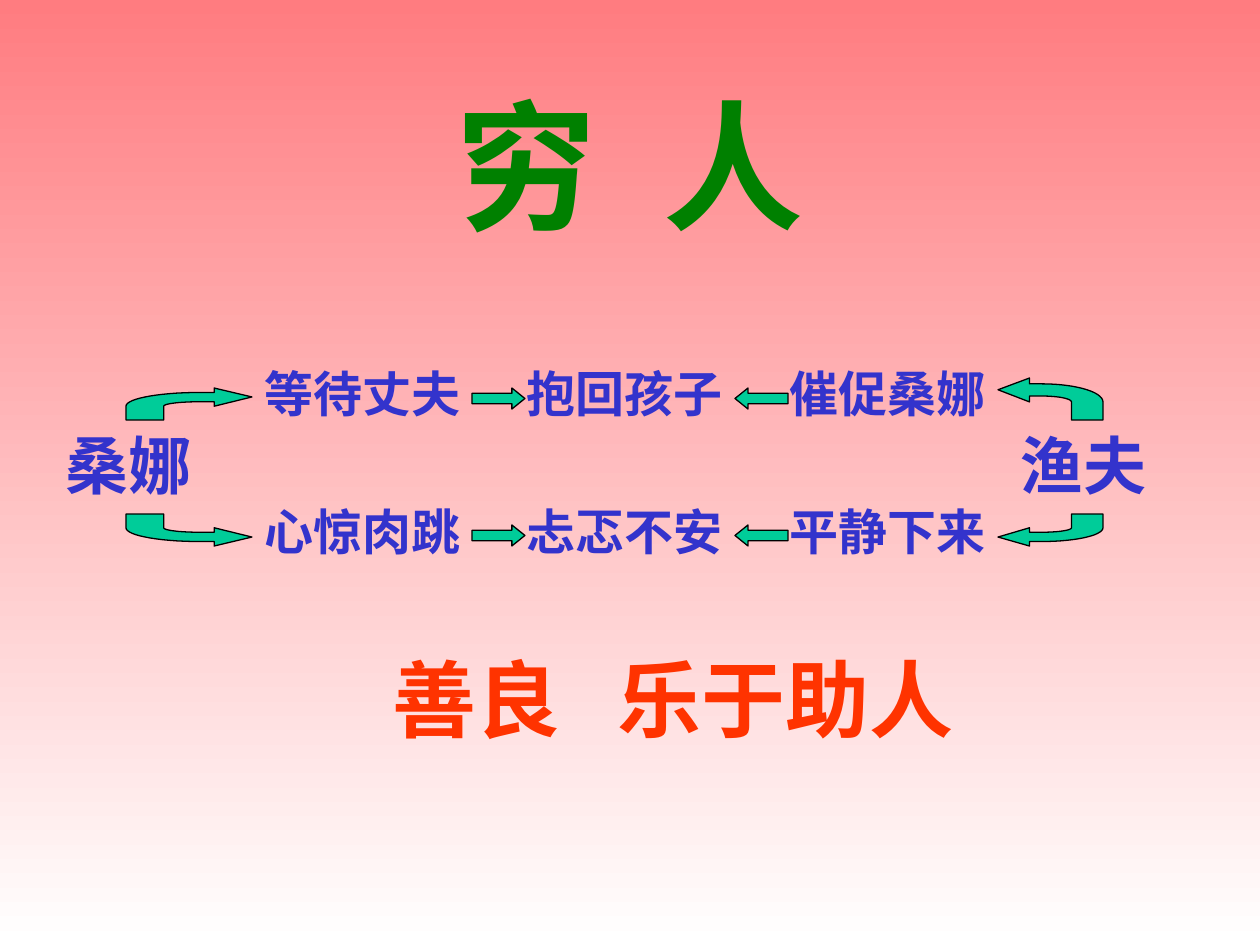
import math
from pptx import Presentation, util as u
from pptx.dml.color import RGBColor
from pptx.enum import shapes, text

W, H = 1260, 945
BLUE, GREEN, RED, TEAL = "3333CC", "008000", "FF3300", "00CC99"
SERIF, SANS = "Times New Roman", "Noto Sans CJK JP"


def px(n):
    return u.Emu(round(n * 914400 / 126))


def rgb(code):
    return RGBColor.from_string(code)


deck = Presentation()
deck.slide_width, deck.slide_height = px(W), px(H)
slide = deck.slides.add_slide(deck.slide_layouts[5])

# Background fades from pink at the top to white
back = slide.background.fill
back.gradient()
back.gradient_angle = 270
for stop, code in zip(back.gradient_stops, ("FF7C80", "FFFFFF")):
    stop.color.rgb = rgb(code)

# Words: box, runs with extra letter spacing in points, size, font, colour, alignment
LEFT, MID = text.PP_ALIGN.LEFT, text.PP_ALIGN.CENTER
words = [
    ((410, 73, 441, 181), [("穷", 0), (" ", 20), ("人", 0)], 80, SERIF, GREEN, MID),
    ((53, 420, 158, 88), [("桑娜", 0)], 36, SERIF, BLUE, LEFT),
    ((1008, 420, 158, 88), [("渔夫", 0)], 36, SERIF, BLUE, LEFT),
    ((302, 641, 742, 113), [("善良", 0), (" ", 21.5), ("乐于助人", 0)], 48, SANS, RED, MID),
]
steps = [("等待丈夫", "抱回孩子", "催促桑娜"), ("心惊肉跳", "忐忑不安", "平静下来")]
for top, row in zip((357, 495), steps):
    for left, word in zip((252, 514, 777), row):
        words.append(((left, top, 242, 72), [(word, 0)], 28, SERIF, BLUE, LEFT))

for i, (place, runs, size, face, code, align) in enumerate(words):
    if i == 0:
        box = slide.shapes.title
        box.left, box.top, box.width, box.height = map(px, place)
    else:
        box = slide.shapes.add_textbox(*map(px, place))
    frame = box.text_frame
    frame.word_wrap = True
    frame.auto_size = text.MSO_AUTO_SIZE.NONE
    frame.vertical_anchor = text.MSO_ANCHOR.MIDDLE
    para = frame.paragraphs[0]
    para.alignment = align
    for word, gap in runs:
        run = para.add_run()
        run.text = word
        font = run.font
        font.size, font.name, font.bold = u.Pt(size), face, True
        font.color.rgb = rgb(code)
        if gap:
            run._r.get_or_add_rPr().set("spc", str(round(gap * 100)))

arrows = []

# Straight arrows point at the middle column from both sides
for top in (388, 525):
    for left, kind in ((472, shapes.MSO_SHAPE.RIGHT_ARROW),
                       (735, shapes.MSO_SHAPE.LEFT_ARROW)):
        arrow = slide.shapes.add_shape(kind, px(left), px(top), px(53), px(21))
        arrow.adjustments[0], arrow.adjustments[1] = 0.5, 0.62
        arrows.append(arrow)

# Bent arrow in a unit square: the leg rises at the left, the tip is at the right
turn = [math.radians(a) for a in range(0, 91, 6)]
outer = [(0.58 - 0.58 * math.sin(a), 0.57 - 0.43 * math.cos(a)) for a in turn]
inner = [(0.58 - 0.28 * math.cos(a), 0.57 - 0.14 * math.sin(a)) for a in turn]
bend = [(1, 0.28), (0.7, 0), (0.7, 0.14), *outer, (0, 1), (0.3, 1),
        *inner, (0.7, 0.43), (0.7, 0.57)]

# Left, top, width, height, mirrored across, mirrored down
for left, top, wide, high, across, down in (
        (126, 388, 126, 32, False, False), (126, 514, 126, 32, False, True),
        (998, 378, 105, 42, True, False), (998, 514, 105, 32, True, True)):
    spots = [(px(left + wide * (1 - x if across else x)),
              px(top + high * (1 - y if down else y))) for x, y in bend]
    path = slide.shapes.build_freeform(*spots[0])
    path.add_line_segments(spots[1:], close=True)
    arrows.append(path.convert_to_shape())

for arrow in arrows:
    arrow.shadow.inherit = False
    arrow.fill.solid()
    arrow.fill.fore_color.rgb = rgb(TEAL)
    arrow.line.color.rgb = rgb("000000")
    arrow.line.width = u.Pt(0.75)

deck.save("out.pptx")
